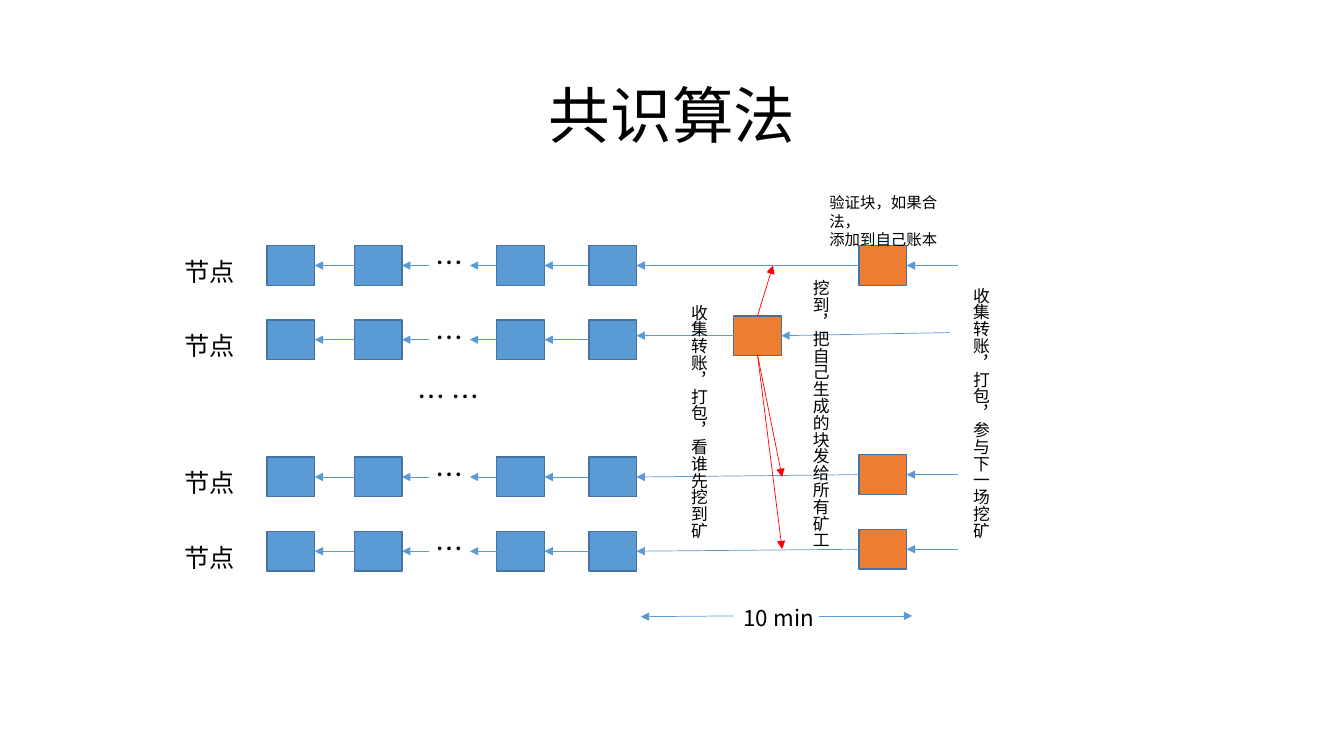
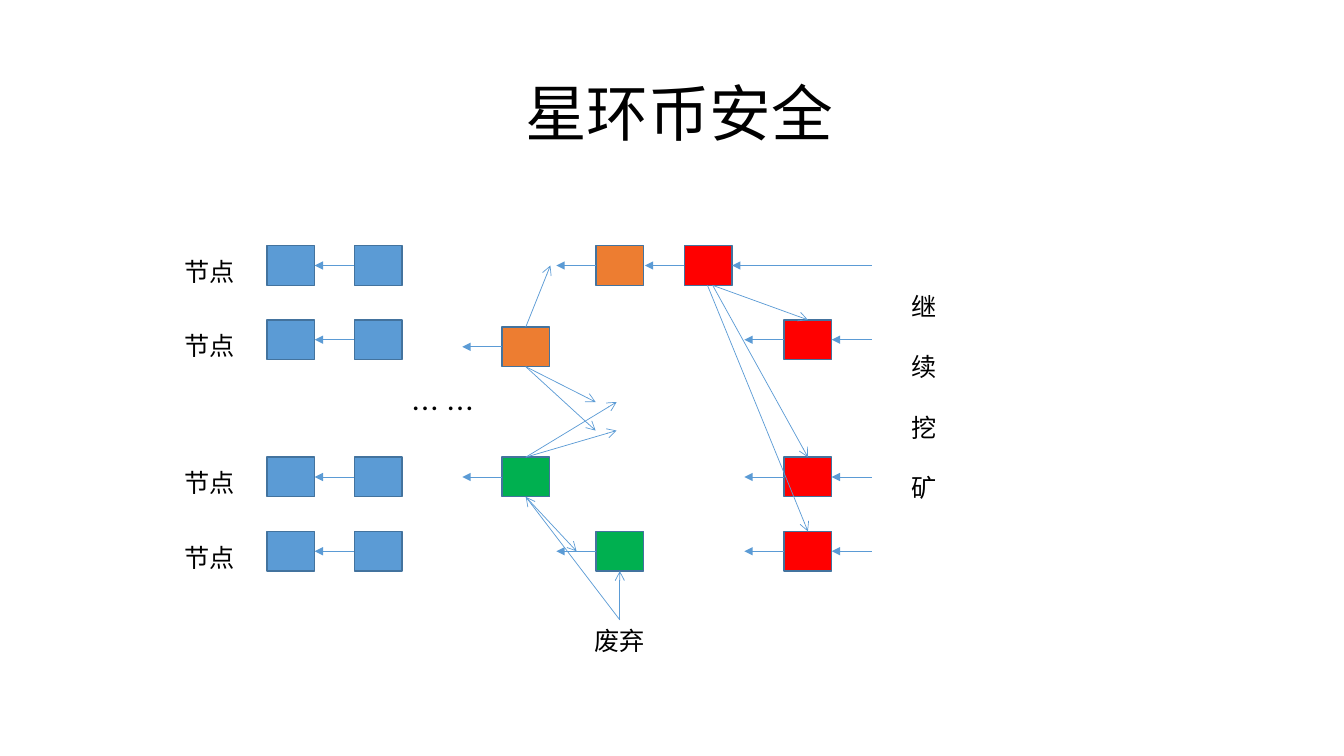
from lxml.etree import SubElement
from pptx import Presentation
from pptx.dml.color import RGBColor
from pptx.enum.shapes import MSO_CONNECTOR, MSO_SHAPE
from pptx.enum.text import MSO_ANCHOR, PP_ALIGN
from pptx.oxml.ns import qn
from pptx.util import Cm, Pt

FONT = "Noto Sans CJK KR"
BLACK, BLUE, EDGE = "000000", "5B9BD5", "43739E"
ORANGE, GREEN, RED = "ED7D31", "00B050", "FF0000"

BLOCK_WIDTH, BLOCK_HEIGHT = 1.2, 1.0
ROWS = (0.5, 2.37, 5.83, 7.7)
CHAIN = (2.33, 4.53, 8.12, 10.44)
ORIGIN = (4.4, 6.19)


def color(value):
    return RGBColor.from_string(value)


class Region:
    def __init__(self, page, left, top):
        self.page, self.left, self.top = page, left, top

    def point(self, x, y):
        return Cm(self.left + x), Cm(self.top + y)

    def text(self, x, y, width, height, lines, size=18, wrap=False,
             gap=0, align=PP_ALIGN.LEFT, anchor=MSO_ANCHOR.TOP,
             vertical=False):
        box = self.page.shapes.add_textbox(*self.point(x, y), Cm(width), Cm(height))
        frame = box.text_frame
        frame.word_wrap = wrap
        frame.vertical_anchor = anchor
        frame.text = "\n".join(lines)
        if vertical:
            frame._txBody.bodyPr.set("vert", "eaVert")
        for index, para in enumerate(frame.paragraphs):
            para.alignment = align
            para.space_before = Pt(gap if index else 0)
            para.font.name = FONT
            para.font.size = Pt(size)
            para.font.color.rgb = color(BLACK)
            for span in para.runs:
                span.font.name = FONT
                SubElement(span.font._element, qn("a:ea"), typeface=FONT)

    def block(self, x, middle, fill):
        shape = self.page.shapes.add_shape(
            MSO_SHAPE.RECTANGLE, *self.point(x, middle - BLOCK_HEIGHT / 2),
            Cm(BLOCK_WIDTH), Cm(BLOCK_HEIGHT))
        shape.shadow.inherit = False
        shape.fill.solid()
        shape.fill.fore_color.rgb = color(fill)
        shape.line.color.rgb = color(EDGE)
        shape.line.width = Pt(1)

    def arrow(self, start, end, stroke=BLUE, head="triangle"):
        line = self.page.shapes.add_connector(
            MSO_CONNECTOR.STRAIGHT, *self.point(*start), *self.point(*end))
        line.line.color.rgb = color(stroke)
        line.line.width = Pt(0.5)
        SubElement(line.line._get_or_add_ln(), qn("a:tailEnd"), type=head)
        SubElement(line._element.spPr, qn("a:effectLst"))

    def fan(self, start, ends, stroke=BLUE, head="arrow"):
        for end in ends:
            self.arrow(start, end, stroke, head)


def add_title(page, left, top, height, words):
    Region(page, left, top).text(
        0, 0, 30.48, height, [words], 44, True,
        align=PP_ALIGN.CENTER, anchor=MSO_ANCHOR.MIDDLE)


def add_node_rows(region, columns):
    for middle in ROWS:
        region.text(0, middle - 0.36, 1.78, 1.02, ["节点"])
        for x in columns:
            region.block(x, middle, BLUE)
        region.arrow((columns[1], middle), (columns[0] + BLOCK_WIDTH, middle))


def add_chain_middle(region):
    for middle in ROWS:
        region.text(6.32, middle - 0.62, 1.22, 1.12, ["…"], 20)
        region.arrow((6.42, middle), (CHAIN[1] + BLOCK_WIDTH, middle))
        region.arrow((CHAIN[2], middle), (7.44, middle))
        region.arrow((CHAIN[3], middle), (CHAIN[2] + BLOCK_WIDTH, middle))


def add_mining_round(region):
    chain_end = CHAIN[3] + BLOCK_WIDTH
    winner, winner_middle, follower = 14.09, 2.27, 17.25
    center = winner + BLOCK_WIDTH / 2
    region.block(winner, winner_middle, ORANGE)
    region.arrow((winner, winner_middle), (chain_end, winner_middle))
    region.arrow((19.53, 2.19), (winner + BLOCK_WIDTH, winner_middle))
    for row, middle in ((ROWS[0], 0.5), (ROWS[2], 5.77), (ROWS[3], 7.65)):
        region.block(follower, middle, ORANGE)
        region.arrow((follower, middle), (chain_end, row))
        region.arrow((19.73, middle), (follower + BLOCK_WIDTH, middle))
    region.arrow((center, 1.77), (15.08, ROWS[0]), RED)
    region.fan((center, 2.75), ((15.31, 5.83), (15.31, 7.65)), RED, "triangle")


def add_round_notes(region):
    for x, y, height, words in (
            (12.57, 1.23, 6.25, "收集转账，打包，看谁先挖到矿"),
            (15.64, 0.62, 7.09, "挖到，把自己生成的块发给所有矿工"),
            (19.68, 0.8, 8.0, "收集转账，打包，参与下一场挖矿")):
        region.text(x, y, 1.02, height, [words], 12, vertical=True)
    region.text(16.25, -1.44, 3.5, 1.19,
                ["验证块，如果合法，", "添加到自己账本"], 11, True)
    region.text(14.09, 8.92, 2.29, 0.94, ["10 min"], 16)
    region.arrow((16.25, 9.33), (18.59, 9.33))
    region.arrow((14.09, 9.33), (11.75, 9.35))


def add_competing_blocks(region):
    for x, middle, fill in (
            (8.25, 2.55, ORANGE), (8.25, ROWS[2], GREEN),
            (10.62, ROWS[0], ORANGE), (10.62, ROWS[3], GREEN),
            (12.85, ROWS[0], RED), (15.36, ROWS[1], RED),
            (15.36, ROWS[2], RED), (15.36, ROWS[3], RED)):
        region.block(x, middle, fill)
        region.arrow((x, middle), (x - 1, middle))
        if fill == RED:
            region.arrow((17.57, middle), (x + BLOCK_WIDTH, middle))


def add_broadcasts(region):
    for start, ends in (
            ((8.85, 2.05), [(9.47, 0.5)]),
            ((8.85, 3.05), [(10.61, 4.66), (10.61, 3.94)]),
            ((8.85, 6.33), [(10.13, 7.7)]),
            ((8.85, 5.33), [(11.14, 3.94), (11.14, 4.66)]),
            ((13.56, 1), [(15.96, 1.87), (15.96, 5.33)]),
            ((13.43, 1), [(15.96, 7.2)]),
            ((11.22, 9.43), [(11.22, 8.2), (8.85, 6.33)])):
        region.fan(start, ends)


def build_consensus(page):
    add_title(page, 1.7, 1.65, 2.46, "共识算法")
    region = Region(page, *ORIGIN)
    add_node_rows(region, CHAIN)
    add_chain_middle(region)
    region.text(5.86, 3.26, 2.13, 1.12, ["… …"], 20)
    add_mining_round(region)
    add_round_notes(region)


def build_security(page):
    add_title(page, 1.88, 1.52, 2.59, "星环币安全")
    region = Region(page, *ORIGIN)
    add_node_rows(region, CHAIN[:2])
    region.text(5.73, 3.54, 2.13, 1.12, ["… …"], 20)
    add_competing_blocks(region)
    add_broadcasts(region)
    region.text(18.31, 1.02, 1.14, 5.64, "继续挖矿", gap=21.6)
    region.text(10.33, 9.43, 1.78, 1.02, ["废弃"])


def main():
    deck = Presentation()
    deck.slide_width, deck.slide_height = Cm(33.87), Cm(19.05)
    for build in (build_consensus, build_security):
        build(deck.slides.add_slide(deck.slide_layouts[6]))
    deck.save("out.pptx")


if __name__ == "__main__":
    main()
